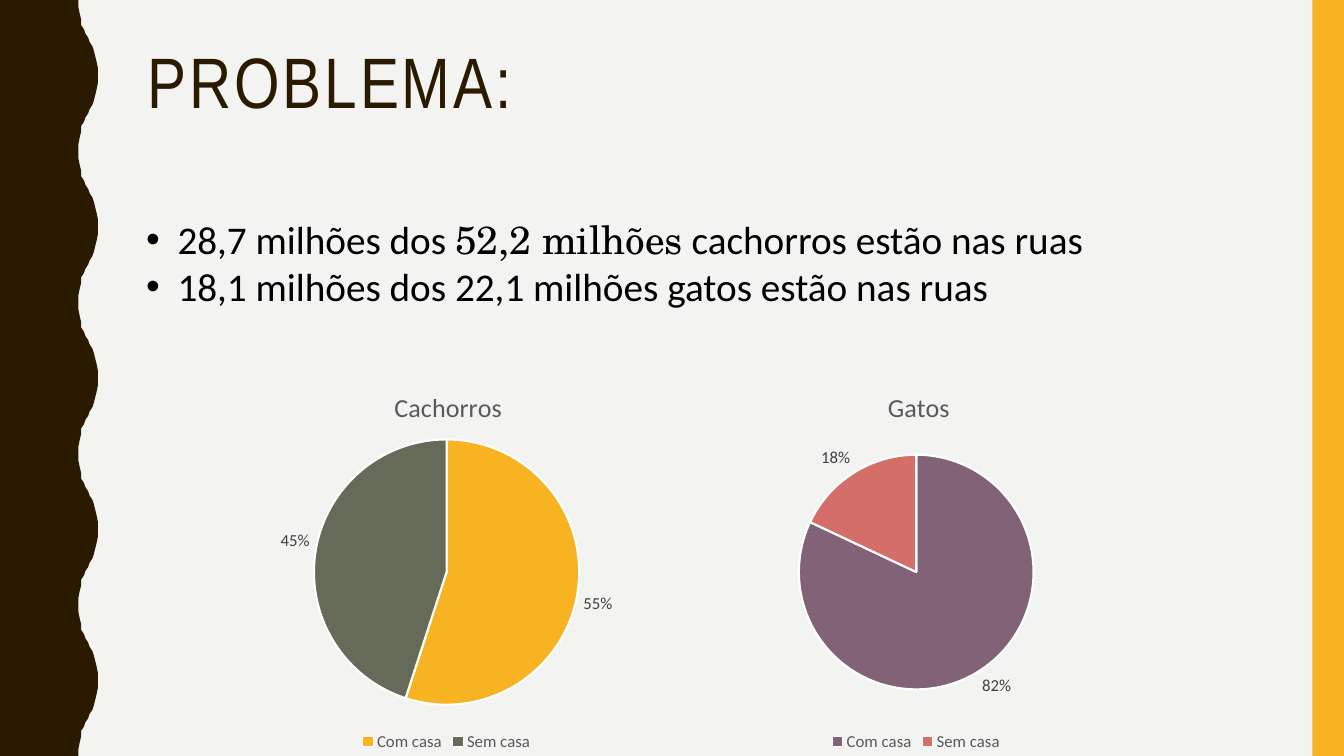
from lxml.etree import SubElement
from pptx import Presentation
from pptx.chart.data import CategoryChartData
from pptx.dml.color import RGBColor
from pptx.enum.chart import XL_CHART_TYPE as ChartType, XL_LABEL_POSITION as LabelPos
from pptx.enum.chart import XL_LEGEND_POSITION as LegendPos
from pptx.enum.shapes import MSO_SHAPE as Shape
from pptx.oxml import parse_xml
from pptx.oxml.ns import nsdecls, qn
from pptx.util import Pt

PAPER = RGBColor(0xF3, 0xF3, 0xF2)
BROWN = RGBColor(0x2A, 0x1A, 0x00)
YELLOW = RGBColor(0xF8, 0xB3, 0x23)
OLIVE = RGBColor(0x65, 0x6A, 0x59)
PURPLE = RGBColor(0x82, 0x62, 0x76)
CORAL = RGBColor(0xD3, 0x6F, 0x68)
BLACK = RGBColor(0, 0, 0)
WHITE = RGBColor(0xFF, 0xFF, 0xFF)
GREY = RGBColor(0x59, 0x59, 0x59)
DARK_GREY = RGBColor(0x40, 0x40, 0x40)


def style_font(font, color, **formats):
    for name, value in formats.items():
        setattr(font, name, value)
    font.color.rgb = color


def place(parent, index, **fractions):
    """Give a chart part a fixed place, as fractions of the chart."""
    for old in parent.findall(qn("c:layout")):
        parent.remove(old)
    layout = parse_xml(f"<c:layout {nsdecls('c')}><c:manualLayout/></c:layout>")
    modes = {"xMode": "edge", "yMode": "edge"}
    if "w" in fractions:
        modes = {"layoutTarget": "inner", **modes}
    for tag, value in {**modes, **fractions}.items():
        SubElement(layout[0], qn(f"c:{tag}")).set("val", str(value))
    parent.insert(index, layout)


deck = Presentation()
deck.slide_width, deck.slide_height = Pt(960), Pt(540)
page = deck.slides.add_slide(deck.slide_layouts[6])
page.background.fill.solid()
page.background.fill.fore_color.rgb = PAPER

# Wavy left edge: half a wave, mirrored and repeated
PERIOD = 108
half_wave = [(56.2, 0), (56.2, 5), (56.9, 10), (57.6, 14.4), (58.3, 18), (59.8, 21),
             (61.2, 24), (62.6, 27), (64.1, 30), (65.5, 33), (67, 36), (68.4, 39.6),
             (69.1, 44), (69.8, 49), (69.8, 54)]
wave = half_wave + [(x, PERIOD - y) for x, y in half_wave[-2::-1]]
edge = [(x, y + PERIOD * turn) for turn in range(5) for x, y in wave]
builder = page.shapes.build_freeform(0, 0, scale=Pt(1))
builder.add_line_segments(edge + [(0, 540)], close=True)
wavy_band = builder.convert_to_shape()

# Right band
right_band = page.shapes.add_shape(Shape.RECTANGLE, Pt(937.5), 0, Pt(22.5), Pt(540))
for band, color in ((wavy_band, BROWN), (right_band, YELLOW)):
    band.shadow.inherit = False
    band.fill.solid()
    band.fill.fore_color.rgb = color
    band.line.fill.background()

# Title
title_box = page.shapes.add_textbox(Pt(98.6), Pt(30.2), Pt(801.4), Pt(117.4))
title_box.text_frame.word_wrap = True
para = title_box.text_frame.paragraphs[0]
para.line_spacing = 0.9
span = para.add_run()
span.text = "PROBLEMA:"
style_font(span.font, BROWN, name="Arial Narrow", size=Pt(51))
span.font._element.set("spc", "200")

# Bullets
bullets = [
    [("28,7 milhões dos ", "Calibri"), ("52,2 milhões", "TeX Gyre Schola"),
     (" cachorros estão nas ruas", "Calibri")],
    [("18,1 milhões dos 22,1 milhões gatos estão nas ruas", "Calibri")],
]
bullet_box = page.shapes.add_textbox(Pt(97.2), Pt(150.5), Pt(704.2), Pt(97.2))
frame = bullet_box.text_frame
frame.word_wrap = True
for number, pieces in enumerate(bullets):
    para = frame.add_paragraph() if number else frame.paragraphs[0]
    props = para._p.get_or_add_pPr()
    props.set("marL", str(Pt(22.5)))
    props.set("indent", str(-Pt(22.5)))
    SubElement(props, qn("a:buFont")).set("typeface", "Arial")
    SubElement(props, qn("a:buChar")).set("char", "•")
    for words, face in pieces:
        span = para.add_run()
        span.text = words
        style_font(span.font, BLACK, name=face, size=Pt(28))

# Pie charts
pies = [
    ("Cachorros", 149.8, (55, 45), (YELLOW, OLIVE), 0.38,
     {"x": 0.22, "y": 0.19, "w": 0.56, "h": 0.68}),
    ("Gatos", 485.3, (82, 18), (PURPLE, CORAL), 0.43,
     {"x": 0.25, "y": 0.23, "w": 0.5, "h": 0.6}),
]
for name, left, values, colors, title_x, plot_place in pies:
    data = CategoryChartData()
    data.categories = ["Com casa", "Sem casa"]
    data.add_series("Series 1", values)
    chart = page.shapes.add_chart(ChartType.PIE, Pt(left), Pt(260.6), Pt(338.4),
                                  Pt(279.4), data).chart
    style_font(chart.font, BLACK, name="Calibri", size=Pt(10))

    chart.has_title = True
    chart.chart_title.text_frame.text = name
    span = chart.chart_title.text_frame.paragraphs[0].runs[0]
    style_font(span.font, GREY, name="Calibri", size=Pt(18.6), bold=False)
    place(chart.chart_title._element, 1, x=title_x, y=0.05)
    place(chart._chartSpace.chart.plotArea, 0, **plot_place)

    chart.has_legend = True
    chart.legend.position = LegendPos.BOTTOM
    chart.legend.include_in_layout = False
    style_font(chart.legend.font, GREY, name="Calibri", size=Pt(12))

    plot = chart.plots[0]
    plot.vary_by_categories = True
    for index, color in enumerate(colors):
        piece = plot.series[0].points[index].format
        piece.fill.solid()
        piece.fill.fore_color.rgb = color
        piece.line.color.rgb = WHITE
        piece.line.width = Pt(1.5)
    labels = plot.series[0].data_labels
    labels.show_percentage = True
    labels.show_value = False
    labels.number_format = "0%"
    labels.number_format_is_linked = False
    labels.position = LabelPos.OUTSIDE_END
    style_font(labels.font, DARK_GREY, name="Calibri", size=Pt(12))

deck.save("out.pptx")
